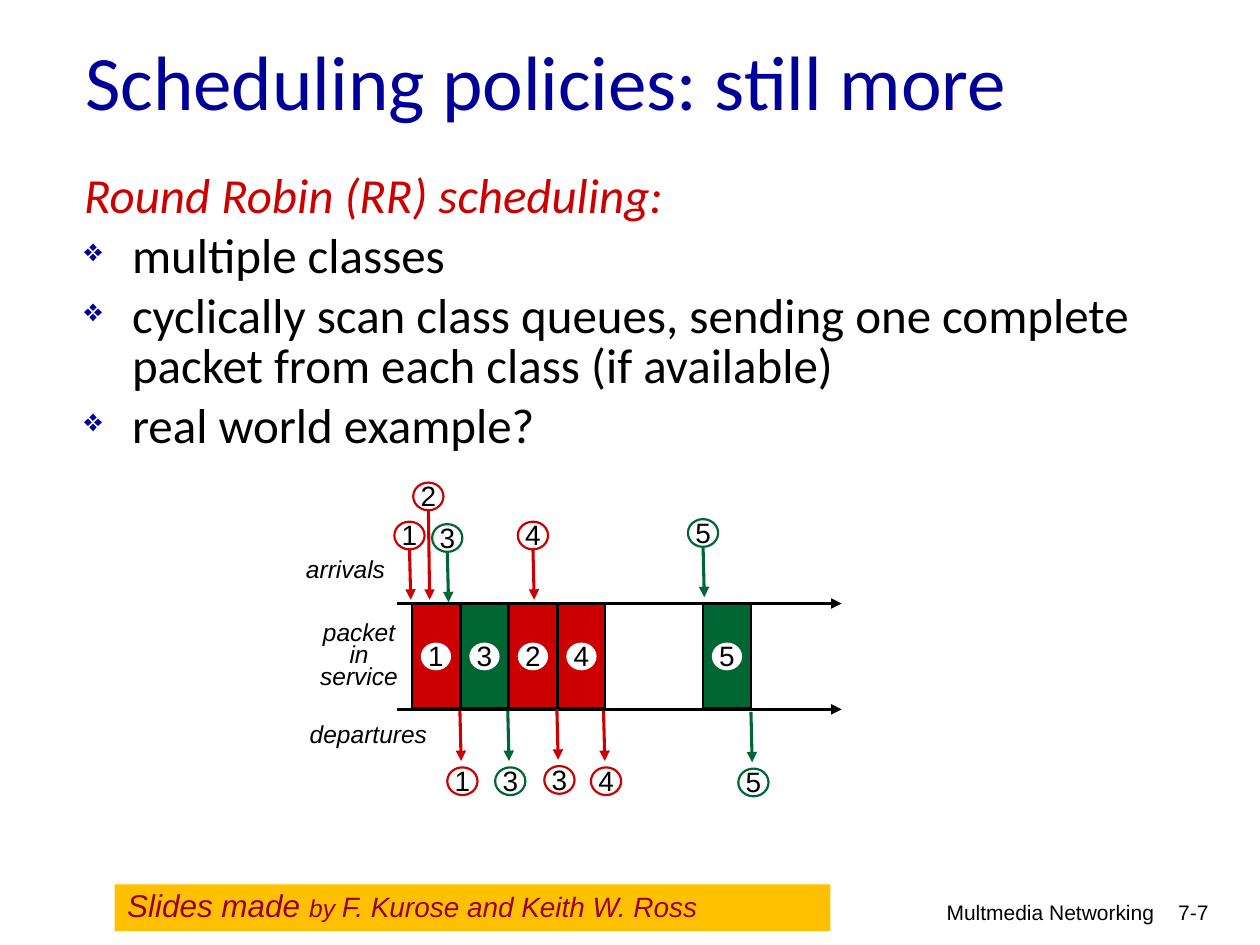
from dataclasses import dataclass

from lxml import etree
from pptx import Presentation
from pptx import util as u
from pptx.dml.color import RGBColor
from pptx.enum import shapes, text
from pptx.oxml.ns import qn

COLORS = {
    "black": "000000",
    "white": "FFFFFF",
    "navy": "000099",
    "red": "CC0000",
    "green": "006633",
    "gold": "FFC000",
    "maroon": "990033",
}
BADGE_WIDTH, BADGE_HEIGHT = 0.24, 0.22
BAR_LEFT, BAR_TOP, BAR_WIDTH, BAR_HEIGHT = 3.27, 4.79, 0.38, 0.83
SLOT = 0.385
ARROW_LENGTH = 0.4


@dataclass(frozen=True)
class Run:
    words: str
    size: float
    color: str = "black"
    font: str = "Arial"
    italic: bool = False


@dataclass(frozen=True)
class Service:
    packet: str
    slot: int
    color: str


@dataclass(frozen=True)
class Event:
    packet: str
    left: float
    top: float
    color: str
    length: float = ARROW_LENGTH


SERVICES = [
    Service("1", 0, "red"),
    Service("2", 2, "red"),
    Service("3", 1, "green"),
    Service("4", 3, "red"),
    Service("5", 6, "green"),
]
ARRIVALS = [
    Event("5", 5.46, 4.12, "green"),
    Event("2", 3.28, 3.83, "red", 0.71),
    Event("1", 3.13, 4.14, "red"),
    Event("3", 3.43, 4.16, "green"),
    Event("4", 4.11, 4.14, "red"),
]
DEPARTURES = [
    Event("5", 5.86, 6.1, "green"),
    Event("3", 3.93, 6.09, "green"),
    Event("1", 3.55, 6.09, "red"),
    Event("3", 4.32, 6.08, "red"),
    Event("4", 4.69, 6.09, "red"),
]
TOPICS = [
    "multiple classes",
    "cyclically scan class queues, sending one complete packet from each class (if available)",
    "real world example?",
]


def rgb(color: str) -> RGBColor:
    return RGBColor.from_string(COLORS[color])


def write(paragraph, *runs: Run) -> None:
    for run in runs:
        piece = paragraph.add_run()
        piece.text = run.words
        piece.font.name = run.font
        piece.font.size = u.Pt(run.size)
        piece.font.italic = run.italic
        piece.font.color.rgb = rgb(run.color)


def add_text(slide, left: float, top: float, width: float, height: float,
             *runs: Run, wrap: bool = False, align=text.PP_ALIGN.LEFT):
    frame = slide.shapes.add_textbox(
        u.Inches(left), u.Inches(top), u.Inches(width), u.Inches(height)).text_frame
    frame.word_wrap = wrap
    frame.paragraphs[0].alignment = align
    write(frame.paragraphs[0], *runs)
    return frame


def add_block(slide, preset, left: float, top: float, width: float, height: float,
              fill: str, outline: str | None = None):
    block = slide.shapes.add_shape(
        preset, u.Inches(left), u.Inches(top), u.Inches(width), u.Inches(height))
    block.shadow.inherit = False
    block.fill.solid()
    block.fill.fore_color.rgb = rgb(fill)
    if outline:
        block.line.color.rgb = rgb(outline)
        block.line.width = u.Pt(1.25)
    else:
        block.line.fill.background()
    return block


def add_arrow(slide, x1: float, y1: float, x2: float, y2: float,
              color: str, weight: float) -> None:
    arrow = slide.shapes.add_connector(
        shapes.MSO_CONNECTOR.STRAIGHT,
        u.Inches(x1), u.Inches(y1), u.Inches(x2), u.Inches(y2))
    arrow.line.color.rgb = rgb(color)
    arrow.line.width = u.Pt(weight)
    etree.SubElement(arrow.line._get_or_add_ln(), qn("a:tailEnd"), type="triangle")
    etree.SubElement(arrow._element.spPr, qn("a:effectLst"))


def add_badge(slide, packet: str, left: float, top: float, outline: str | None = None) -> None:
    add_block(slide, shapes.MSO_SHAPE.OVAL, left, top, BADGE_WIDTH, BADGE_HEIGHT,
              "white", outline)
    add_text(slide, left - 0.04, top - 0.08, 0.33, 0.37, Run(packet, 16))


def add_service(slide, service: Service) -> None:
    left = BAR_LEFT + service.slot * SLOT
    add_block(slide, shapes.MSO_SHAPE.RECTANGLE, left, BAR_TOP, BAR_WIDTH, BAR_HEIGHT,
              service.color, "black")
    add_badge(slide, service.packet, left + 0.07, BAR_TOP + 0.31)


def add_event(slide, event: Event, arrow_offset: tuple[float, float]) -> None:
    """Draw a numbered badge and its arrow, which starts at an offset from the badge."""
    x, y = event.left + arrow_offset[0], event.top + arrow_offset[1]
    add_arrow(slide, x, y, x + 0.01, y + event.length, event.color, 1.75)
    add_badge(slide, event.packet, event.left, event.top, event.color)


def format_topic(paragraph, bulleted: bool) -> None:
    paragraph.line_spacing = 0.85
    paragraph.space_before = u.Pt(5.6)
    properties = paragraph._p.get_or_add_pPr()
    indent = u.Inches(0.38)
    properties.set("marL", str(indent))
    properties.set("indent", str(-indent))
    if bulleted:
        bullet_color = etree.SubElement(properties, qn("a:buClr"))
        etree.SubElement(bullet_color, qn("a:srgbClr"), val=COLORS["navy"])
        etree.SubElement(properties, qn("a:buSzPct"), val="65000")
        etree.SubElement(properties, qn("a:buChar"), char="❖")


def add_topics(slide) -> None:
    frame = add_text(slide, 0.57, 1.33, 8.5, 0.83,
                     Run("Round Robin (RR) scheduling:", 28, "red", "Calibri", True), wrap=True)
    format_topic(frame.paragraphs[0], bulleted=False)
    for topic in TOPICS:
        paragraph = frame.add_paragraph()
        write(paragraph, Run(topic, 28, font="Calibri"))
        format_topic(paragraph, bulleted=True)


def add_timeline(slide) -> None:
    for y in (BAR_TOP, BAR_TOP + 0.84):
        add_arrow(slide, 3.15, y, 6.68, y, "black", 2)
    for service in SERVICES:
        add_service(slide, service)
    for arrival in ARRIVALS:
        add_event(slide, arrival, (0.12, 0.22))
    for departure in DEPARTURES:
        add_event(slide, departure, (0.1, -0.45))
    add_text(slide, 2.33, 4.35, 0.88, 0.34, Run("arrivals", 14, italic=True))
    add_text(slide, 2.36, 5.66, 1.19, 0.34, Run("departures", 14, italic=True))
    service_label = add_text(slide, 2.38, 4.9, 0.94, 0.65,
                             Run("packet in service", 14, italic=True),
                             wrap=True, align=text.PP_ALIGN.CENTER)
    service_label.paragraphs[0].line_spacing = u.Pt(12.8)


def add_credit(slide) -> None:
    banner = add_block(slide, shapes.MSO_SHAPE.RECTANGLE, 0.91, 7.02, 5.68, 0.37, "gold")
    banner.text_frame.vertical_anchor = text.MSO_ANCHOR.TOP
    credit = banner.text_frame.paragraphs[0]
    credit.alignment = text.PP_ALIGN.LEFT
    credit.line_spacing = 0.9
    write(credit, *(Run(words, size, "maroon", italic=True) for words, size in (
        ("Slides made ", 18), ("by ", 14), ("F. Kurose and Keith W. Ross", 16))))


def main() -> None:
    deck = Presentation()
    deck.slide_width, deck.slide_height = u.Inches(10), u.Inches(7.5)
    slide = deck.slides.add_slide(deck.slide_layouts[6])
    title = add_text(slide, 0.58, 0.01, 8.5, 1.25,
                     Run("Scheduling policies: still more", 44, "navy", "Calibri"), wrap=True)
    title.vertical_anchor = text.MSO_ANCHOR.MIDDLE
    add_topics(slide)
    for words, left, width in (("Multmedia Networking", 6.09, 3.17), ("7-7", 8.95, 0.74)):
        add_text(slide, left, 7.09, width, 0.3, Run(words, 12),
                 wrap=True, align=text.PP_ALIGN.RIGHT)
    add_timeline(slide)
    add_credit(slide)
    deck.save("out.pptx")


if __name__ == "__main__":
    main()
